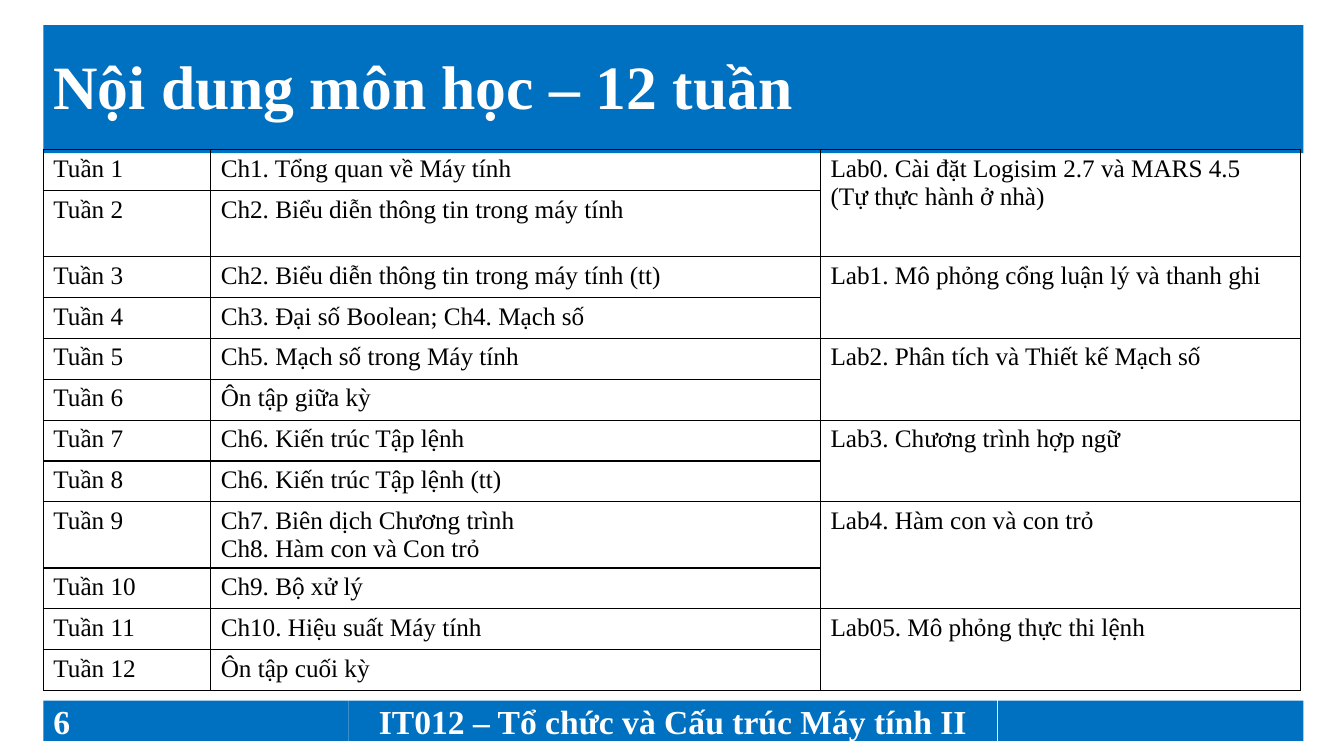
"""Build the course outline slide: title bar, twelve-week table and footer."""
from dataclasses import dataclass
from typing import Any

from lxml.etree import SubElement
from pptx import Presentation
from pptx.dml.color import RGBColor
from pptx.enum.shapes import MSO_SHAPE as Shape
from pptx.enum.text import MSO_ANCHOR as Anchor, PP_ALIGN as Align
from pptx.oxml.ns import qn
from pptx.util import Pt

FACE = "Times New Roman"
BLUE, WHITE, BLACK = "0070C0", "FFFFFF", "000000"
LEFT, FOOT, HIGH = 31, 500.4, 28.8
ROW, TALL = 29.2, 47.2
COLS = (119.5, 435.6, 342.7)


@dataclass
class Bar:
    """A blue band with optional text."""
    left: float
    top: float
    width: float
    height: float
    text: str = ""
    size: float = 24
    align: Any = Align.LEFT
    space: float = 1.0


@dataclass
class Lab:
    """A lab with the chapters of its two weeks."""
    name: str
    first: str
    second: str
    tall: tuple[int, ...] = ()


BARS = [
    Bar(249.1, FOOT, 463, HIGH, "IT012 – Tổ chức và Cấu trúc Máy tính II", align=Align.CENTER),
    Bar(712.8, FOOT, 218.2, HIGH),
    Bar(LEFT, 18, 900, 91.4, "Nội dung môn học – 12 tuần", size=44, space=0.9),
    Bar(LEFT, FOOT, 218.1, HIGH, "6"),
]
LABS = [
    Lab("Lab0. Cài đặt Logisim 2.7 và MARS 4.5\n(Tự thực hành ở nhà)",
        "Ch1. Tổng quan về Máy tính", "Ch2. Biểu diễn thông tin trong máy tính", (1,)),
    Lab("Lab1. Mô phỏng cổng luận lý và thanh ghi",
        "Ch2. Biểu diễn thông tin trong máy tính (tt)", "Ch3. Đại số Boolean; Ch4. Mạch số"),
    Lab("Lab2. Phân tích và Thiết kế Mạch số",
        "Ch5. Mạch số trong Máy tính", "Ôn tập giữa kỳ"),
    Lab("Lab3. Chương trình hợp ngữ",
        "Ch6. Kiến trúc Tập lệnh", "Ch6. Kiến trúc Tập lệnh (tt)"),
    Lab("Lab4. Hàm con và con trỏ",
        "Ch7. Biên dịch Chương trình\nCh8. Hàm con và Con trỏ", "Ch9. Bộ xử lý", (0,)),
    Lab("Lab05. Mô phỏng thực thi lệnh",
        "Ch10. Hiệu suất Máy tính", "Ôn tập cuối kỳ"),
]


def paint(part: Any, tone: str) -> None:
    """Set a colour on a fill or a font."""
    if hasattr(part, "solid"):
        part.solid()
        part.fore_color.rgb = RGBColor.from_string(tone)
    else:
        part.color.rgb = RGBColor.from_string(tone)


def apply(item: Any, form: dict[str, Any]) -> None:
    """Set each attribute named in a dict."""
    for key, value in form.items():
        setattr(item, key, value)


def write(frame: Any, text: str, tone: str, font: dict[str, Any], para: dict[str, Any]) -> None:
    """Fill a text frame, one paragraph a line."""
    frame.text = text
    for line in frame.paragraphs:
        apply(line, para)
        for run in line.runs:
            apply(run.font, {"name": FACE, **font})
            paint(run.font, tone)


def draw_bar(slide: Any, bar: Bar) -> None:
    """Draw one blue band."""
    box = slide.shapes.add_shape(
        Shape.RECTANGLE, Pt(bar.left), Pt(bar.top), Pt(bar.width), Pt(bar.height))
    box.shadow.inherit = False
    paint(box.fill, BLUE)
    box.line.fill.background()
    if bar.text:
        apply(box.text_frame, {"word_wrap": True, "vertical_anchor": Anchor.MIDDLE})
        write(box.text_frame, bar.text, WHITE, {"size": Pt(bar.size), "bold": True},
              {"alignment": bar.align, "line_spacing": bar.space})


def frame_cell(cell: Any) -> None:
    """Give a cell four black borders and no fill."""
    props = cell._tc.get_or_add_tcPr()
    for side in ("lnL", "lnR", "lnT", "lnB"):
        edge = SubElement(props, qn(f"a:{side}"), w=str(Pt(1)))
        SubElement(SubElement(edge, qn("a:solidFill")), qn("a:srgbClr"), val=BLACK)
    cell.fill.background()


def draw_table(slide: Any, labs: list[Lab]) -> None:
    """Draw the weeks, two to a lab."""
    highs = [TALL if week in lab.tall else ROW for lab in labs for week in range(2)]
    grid = slide.shapes.add_table(
        len(highs), len(COLS), Pt(LEFT), Pt(106.9), Pt(sum(COLS)), Pt(sum(highs))).table
    apply(grid, {"first_row": False, "horz_banding": False})
    for col, width in zip(grid.columns, COLS):
        col.width = Pt(width)
    for row, high in zip(grid.rows, highs):
        row.height = Pt(high)
    for cell in grid.iter_cells():
        frame_cell(cell)
    for pair, lab in enumerate(labs):
        top = 2 * pair
        grid.cell(top, 2).merge(grid.cell(top + 1, 2))
        texts = {(top, 2): lab.name}
        for row, topic in enumerate((lab.first, lab.second), top):
            texts[row, 0] = f"Tuần {row + 1}"
            texts[row, 1] = topic
        for spot, text in texts.items():
            write(grid.cell(*spot).text_frame, text, BLACK, {"size": Pt(18)}, {})


def main() -> None:
    """Build and save the slide."""
    deck = Presentation()
    apply(deck, {"slide_width": Pt(960), "slide_height": Pt(540)})
    slide = deck.slides.add_slide(deck.slide_layouts[6])
    for bar in BARS:
        draw_bar(slide, bar)
    draw_table(slide, LABS)
    deck.save("out.pptx")


if __name__ == "__main__":
    main()
